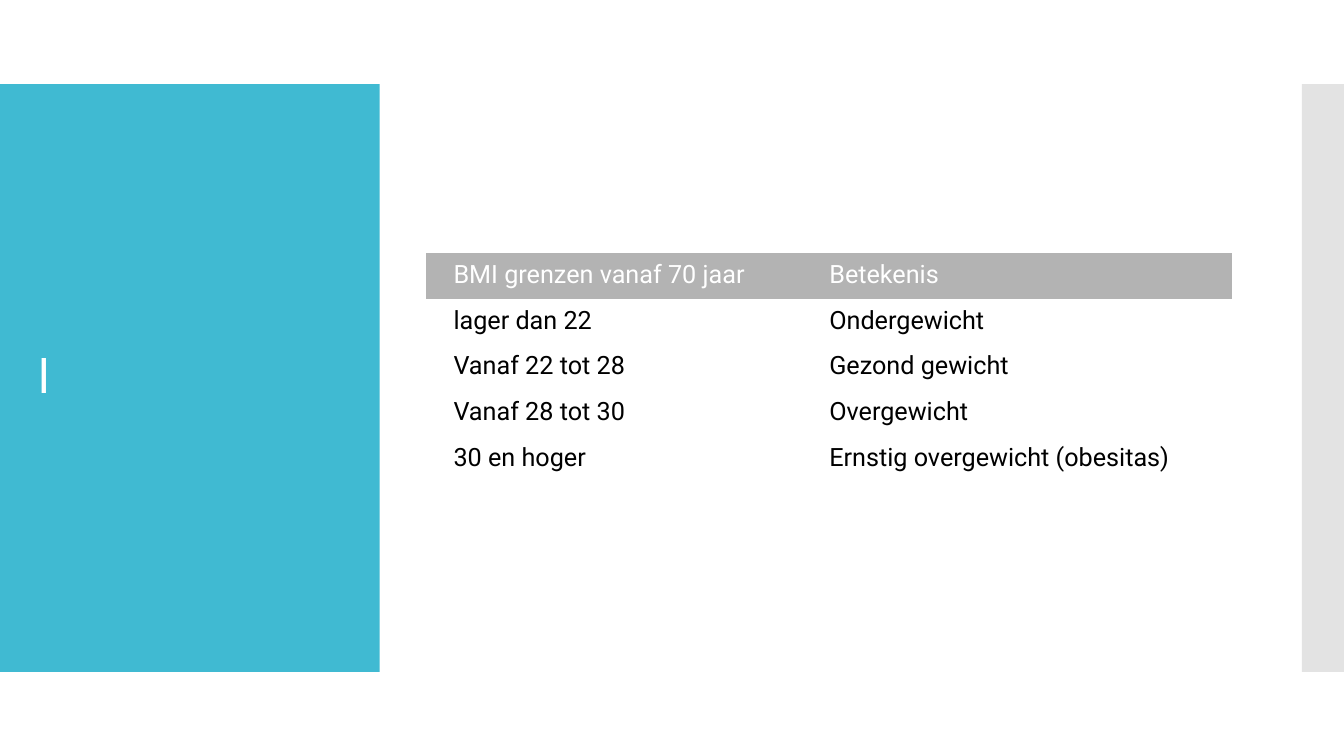
from pptx import Presentation
from pptx.dml.color import RGBColor
from pptx.enum.shapes import MSO_SHAPE
from pptx.enum.text import MSO_ANCHOR
from pptx.oxml.ns import qn
from pptx.util import Cm, Pt
from lxml import etree

RECT = MSO_SHAPE.RECTANGLE
MIDDLE = MSO_ANCHOR.MIDDLE
TEAL = RGBColor(0x40, 0xBA, 0xD2)
SIDE_GREY = RGBColor(0xC8, 0xC8, 0xC8)
HEADER_GREY = RGBColor(0xB3, 0xB3, 0xB3)
WHITE = RGBColor(0xFF, 0xFF, 0xFF)
BLACK = RGBColor(0, 0, 0)
NO_GRID = "{2D5ABB26-0587-4C30-8999-92F81FD0307C}"

SLIDE_W, SLIDE_H = 33.87, 19.05
BAND_TOP, BAND_H = 2.12, 14.81
SIDE_W = 1.06
BMI_ROWS = [
    ("BMI grenzen vanaf 70 jaar", "Betekenis"),
    ("lager dan 22", "Ondergewicht"),
    ("Vanaf 22 tot 28", "Gezond gewicht"),
    ("Vanaf 28 tot 30", "Overgewicht"),
    ("30 en hoger", "Ernstig overgewicht (obesitas)"),
]
COLUMN_WIDTHS = (9.86, 10.46)
ROW_H, LAST_EXTRA = 1.15, 0.48
SIDE_MARGINS = ((0.69, 0.25), (0.3, 0.69))


def add_run(p, text, size, name, color):
    r = p.add_run()
    r.text = text
    for key, value in {"size": Pt(size), "name": name, "bold": False}.items():
        setattr(r.font, key, value)
    r.font.color.rgb = color
    return r


def add_panel(s, box, color, alpha=None):
    sp = s.shapes.add_shape(RECT, *map(Cm, box))
    sp.shadow.inherit = False
    sp.fill.solid()
    sp.fill.fore_color.rgb = color
    sp.line.fill.background()
    if alpha is not None:
        clr = sp.element.spPr.find(qn("a:solidFill"))[0]
        etree.SubElement(clr, qn("a:alpha"), val=str(alpha * 1000))


def add_title(s, box, text):
    tf = s.shapes.add_textbox(*map(Cm, box)).text_frame
    tf.word_wrap = True
    tf.vertical_anchor = MIDDLE
    p = tf.paragraphs[0]
    p.line_spacing = 0.9
    r = add_run(p, text, 36, "Calibri", WHITE)
    r.font.element.set("spc", "-60") if hasattr(r.font, "element") else p.runs[0]._r.get_or_add_rPr().set("spc", "-60")


def add_bmi_table(s, box):
    frame = s.shapes.add_table(len(BMI_ROWS), len(COLUMN_WIDTHS), *map(Cm, box))
    frame.element.find(".//" + qn("a:tableStyleId")).text = NO_GRID
    table = frame.table
    for column, width in zip(table.columns, COLUMN_WIDTHS):
        column.width = Cm(width)
    for i, texts in enumerate(BMI_ROWS):
        extra = LAST_EXTRA if i == len(BMI_ROWS) - 1 else 0
        table.rows[i].height = Cm(ROW_H + extra)
        for j, text in enumerate(texts):
            cell = table.cell(i, j)
            left, right = SIDE_MARGINS[j]
            margins = {"left": left, "right": right, "top": 0.18, "bottom": 0.2 + extra}
            for side, value in margins.items():
                setattr(cell, "margin_" + side, Cm(value))
            cell.fill.solid()
            cell.fill.fore_color.rgb = WHITE if i else HEADER_GREY
            add_run(cell.text_frame.paragraphs[0], text, 18, "Roboto", BLACK if i else WHITE)


def main():
    prs = Presentation()
    prs.slide_width, prs.slide_height = Cm(SLIDE_W), Cm(SLIDE_H)
    s = prs.slides.add_slide(prs.slide_layouts[6])
    add_panel(s, (0, BAND_TOP, 9.57, BAND_H), TEAL)
    add_panel(s, (SLIDE_W - SIDE_W, BAND_TOP, SIDE_W, BAND_H), SIDE_GREY, 50)
    add_title(s, (0.71, 3.12, 30.61, 12.78), "l")
    table_h = ROW_H * len(BMI_ROWS) + LAST_EXTRA
    add_bmi_table(s, (10.74, 6.38, sum(COLUMN_WIDTHS), table_h))
    prs.save("out.pptx")


if __name__ == "__main__":
    main()
